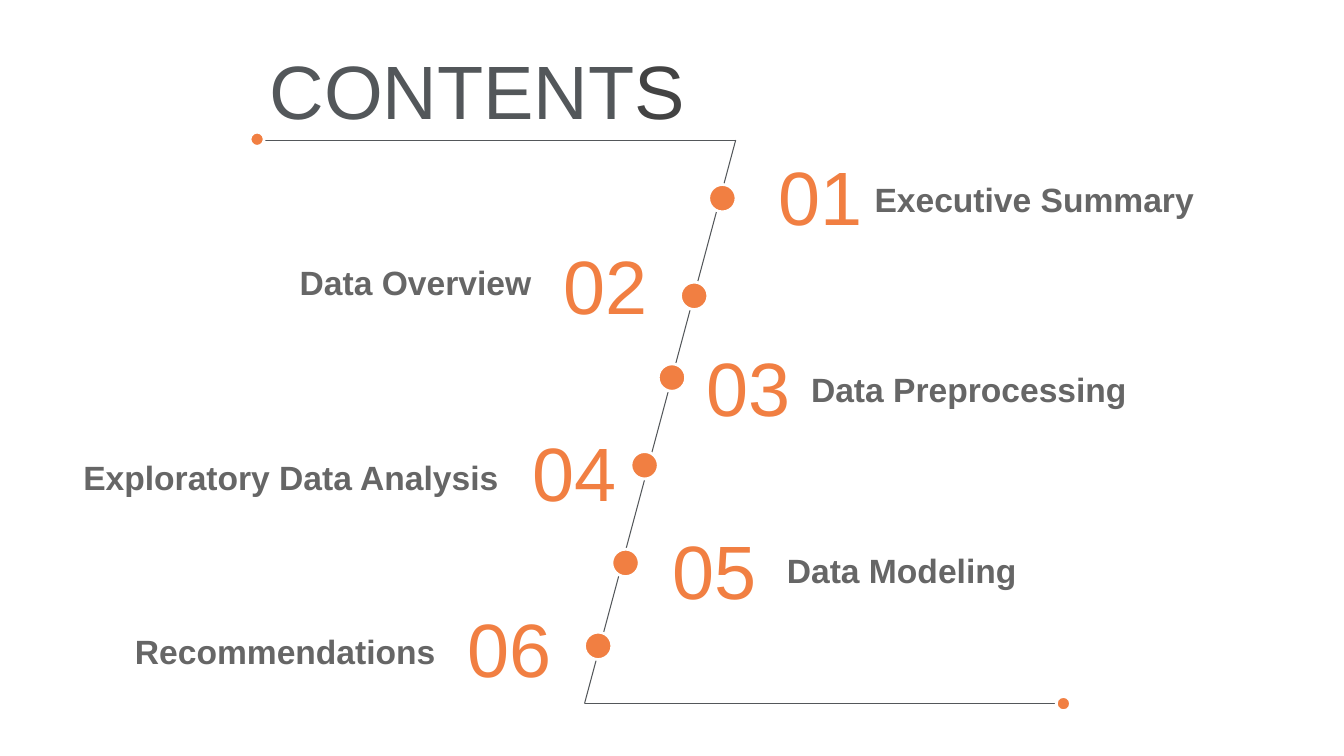
from typing import NamedTuple

from lxml.etree import SubElement
from pptx import Presentation
from pptx.dml.color import RGBColor
from pptx.enum.shapes import MSO_CONNECTOR, MSO_SHAPE
from pptx.enum.text import PP_ALIGN
from pptx.oxml.ns import qn
from pptx.slide import Slide
from pptx.util import Cm, Pt

ORANGE = "F17F42"
SLATE = "53575A"
DARK = "434343"
GRAY = "666666"
WHITE = "FFFFFF"


class Point(NamedTuple):
    x: float
    y: float


class Box(NamedTuple):
    x: float
    y: float
    width: float
    height: float


class Run(NamedTuple):
    text: str
    size: int
    color: str
    bold: bool = False


class Topic(NamedTuple):
    name: str
    dot: Point
    digits: Point
    label: Box
    align: PP_ALIGN = PP_ALIGN.LEFT


TOPICS = [
    Topic("Executive Summary", Point(17.86, 4.65), Point(19.38, 3.66),
          Box(21.79, 4.39, 10.03, 1.12)),
    Topic("Data Overview", Point(17.15, 7.11), Point(13.94, 5.89),
          Box(5.54, 6.48, 9.86, 1.37), PP_ALIGN.CENTER),
    Topic("Data Preprocessing", Point(16.59, 9.17), Point(17.55, 8.46),
          Box(20.19, 9.17, 8.89, 1.12)),
    Topic("Exploratory Data Analysis", Point(15.9, 11.38), Point(13.16, 10.62),
          Box(1.85, 11.38, 11.58, 1.12)),
    Topic("Data Modeling", Point(15.42, 13.84), Point(16.69, 13.08),
          Box(19.58, 13.74, 11.58, 1.12)),
    Topic("Recommendations", Point(14.73, 15.93), Point(11.53, 15.04),
          Box(3.15, 15.77, 8.13, 1.12)),
]

# The folded line, from the title's underline to the foot
PATH = [Point(6.53, 3.53), Point(18.54, 3.53),
        Point(14.73, 17.73), Point(26.75, 17.73)]
ENDS = [Point(6.3, 3.33), Point(26.62, 17.55)]


def paint(code: str) -> RGBColor:
    return RGBColor.from_string(code)


def add_line(slide: Slide, start: Point, end: Point) -> None:
    line = slide.shapes.add_connector(
        MSO_CONNECTOR.STRAIGHT, Cm(start.x), Cm(start.y), Cm(end.x), Cm(end.y))
    line.line.color.rgb = paint(SLATE)
    line.line.width = Pt(0.75)
    SubElement(line._element.spPr, qn("a:effectLst"))


def add_dot(slide: Slide, spot: Point, size: float) -> None:
    dot = slide.shapes.add_shape(
        MSO_SHAPE.OVAL, Cm(spot.x), Cm(spot.y), Cm(size), Cm(size))
    dot.shadow.inherit = False
    dot.fill.solid()
    dot.fill.fore_color.rgb = paint(ORANGE)
    dot.line.color.rgb = paint(WHITE)
    dot.line.width = Pt(2)


def add_text(slide: Slide, box: Box, runs: list[Run],
             align: PP_ALIGN = PP_ALIGN.LEFT) -> None:
    frame = slide.shapes.add_textbox(*map(Cm, box)).text_frame
    frame.word_wrap = True
    para = frame.paragraphs[0]
    para.alignment = align
    for item in runs:
        run = para.add_run()
        run.text = item.text
        run.font.name = "Arial"
        run.font.size = Pt(item.size)
        run.font.bold = item.bold
        run.font.color.rgb = paint(item.color)


def main() -> None:
    deck = Presentation()
    deck.slide_width, deck.slide_height = Cm(33.87), Cm(19.05)
    slide = deck.slides.add_slide(deck.slide_layouts[6])

    for start, end in zip(PATH, PATH[1:]):
        add_line(slide, start, end)
    for spot in ENDS:
        add_dot(slide, spot, 0.36)

    add_text(slide, Box(6.48, 0.97, 11.1, 2.57),
             [Run("CONTENT", 54, SLATE), Run("S", 54, DARK)], PP_ALIGN.CENTER)
    for count, topic in enumerate(TOPICS, 1):
        add_dot(slide, topic.dot, 0.69)
        add_text(slide, Box(*topic.digits, 3, 2.57),
                 [Run(f"{count:02}", 54, ORANGE)])
        add_text(slide, topic.label, [Run(topic.name, 24, GRAY, True)],
                 topic.align)

    deck.save("out.pptx")


if __name__ == "__main__":
    main()
